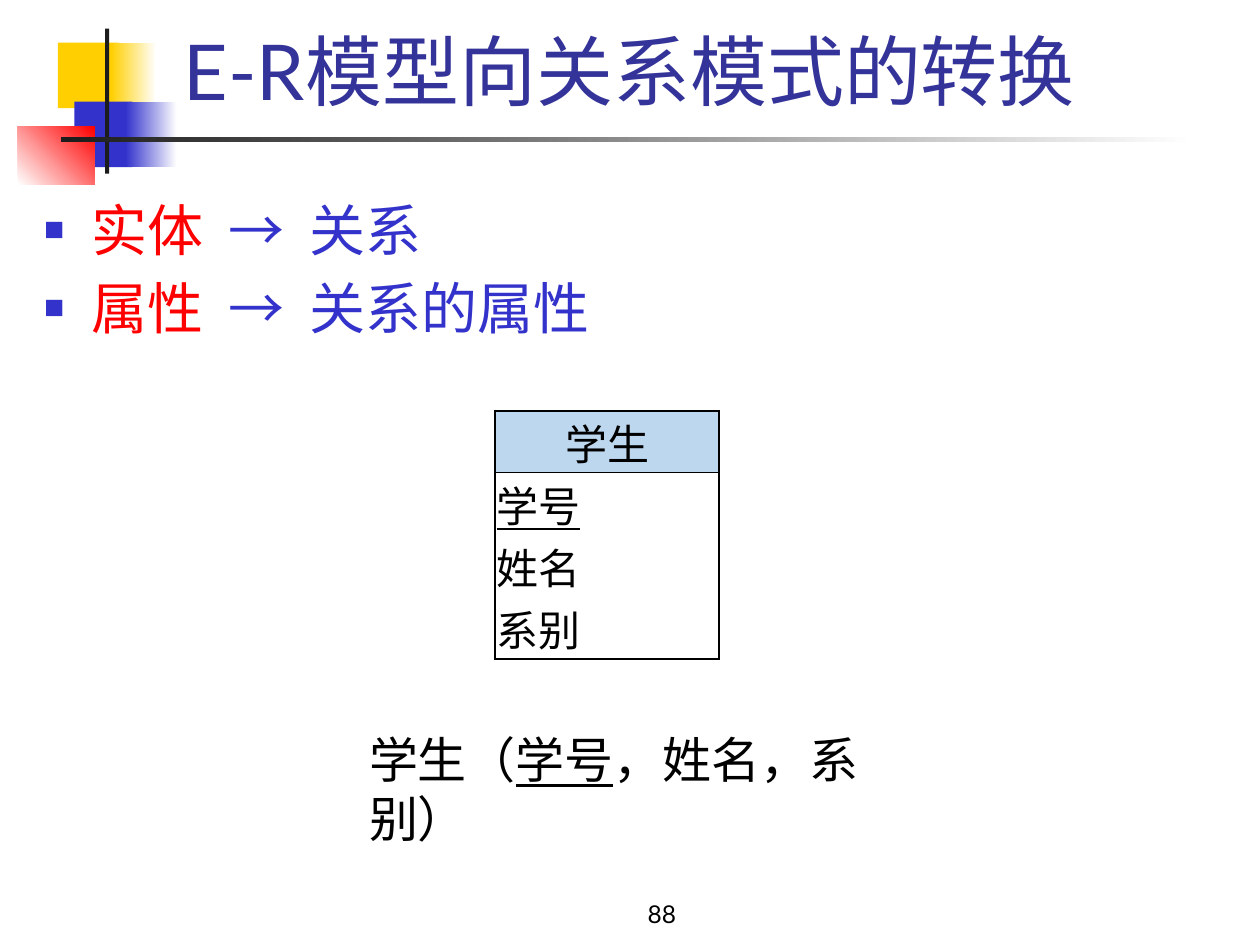
"""Builds a slide on turning an E-R model into relation schemas."""
from lxml import etree
from pptx import Presentation
from pptx import util as u
from pptx.dml.color import RGBColor
from pptx.enum import lang, shapes, text
from pptx.oxml import ns

BLACK, WHITE, YELLOW, BLUE = "000000", "FFFFFF", "FFCF01", "3333CC"
RED, DARK, NAVY, PALE = "FF0000", "1C1C1C", "333399", "BDD7EE"
LATO, ARIAL, NOTO = "Lato", "Arial", "Noto Sans CJK SC"
CENTER = text.PP_ALIGN.CENTER

ORNAMENTS = [
    ((1.17, 0.86, 1.22, 1.32), [YELLOW], 0),
    ((2.24, 0.86, 0.91, 1.32), [YELLOW, WHITE], 0),
    ((1.5, 2.05, 1.17, 1.32), [BLUE], 0),
    ((2.54, 2.05, 1.02, 1.32), [BLUE, WHITE], 0),
    ((0.36, 2.55, 1.55, 1.17), [WHITE, RED], 45),
    ((2.12, 0.58, 0.08, 2.92), [DARK], 0),
    ((1.23, 2.77, 22.86, 0.09), [DARK, WHITE], 0),
]
MAPPINGS = [
    [("实体  ", RED), ("→  关系", BLUE)],
    [("属性", RED), ("  →  关系的属性", BLUE)],
]
ENTITY = ["学生", "学号", "姓名", "系别"]
KEY = "学号"
ROW_HEIGHT = 1.25


def color(value):
    """Return the colour of a hex string."""
    return RGBColor.from_string(value)


def cm(values):
    """Return the values as centimetre lengths."""
    return [u.Cm(value) for value in values]


def add_element(parent, tag, **attributes):
    """Append an XML child and return it."""
    child = etree.SubElement(parent, ns.qn(tag))
    for name, value in attributes.items():
        child.set(name, str(value))
    return child


def add_ornament(page, place, colors, angle):
    """Add a rectangle with a plain or two-colour gradient fill."""
    shape = page.shapes.add_shape(shapes.MSO_SHAPE.RECTANGLE, *cm(place))
    shape.shadow.inherit = False
    shape.line.fill.background()
    if len(colors) == 1:
        shape.fill.solid()
        shape.fill.fore_color.rgb = color(colors[0])
        return
    shape.fill.gradient()
    shape.fill.gradient_angle = angle
    for position, (stop, value) in enumerate(zip(shape.fill.gradient_stops, colors)):
        stop.color.rgb = color(value)
        stop.position = position


def add_span(para, words, size, font, value=BLACK, underline=None):
    """Add a formatted run to a paragraph."""
    span = para.add_run()
    span.text = words
    span.font.size = u.Pt(size)
    span.font.name = font
    span.font.color.rgb = color(value)
    span.font.underline = underline
    span.font.language_id = lang.MSO_LANGUAGE_ID.SIMPLIFIED_CHINESE


def add_box(page, place, anchor=text.MSO_ANCHOR.TOP):
    """Add a wrapping text box and return its text frame."""
    frame = page.shapes.add_textbox(*cm(place)).text_frame
    frame.word_wrap = True
    frame.vertical_anchor = anchor
    return frame


def add_line(page, place, words, size, value):
    """Add a centred line of text that sits on the bottom of its box."""
    para = add_box(page, place, text.MSO_ANCHOR.BOTTOM).paragraphs[0]
    para.alignment = CENTER
    add_span(para, words, size, LATO, value)


def set_bullet(para):
    """Give a paragraph a hanging square bullet."""
    properties = para._p.get_or_add_pPr()
    properties.set("marL", str(u.Cm(0.95)))
    properties.set("indent", str(-u.Cm(0.95)))
    before = add_element(properties, "a:spcBef")
    add_element(before, "a:spcPct", val=20000)
    tint = add_element(properties, "a:buClr")
    add_element(tint, "a:srgbClr", val=BLUE)
    add_element(properties, "a:buSzPct", val=60000)
    add_element(properties, "a:buFont", typeface=ARIAL)
    add_element(properties, "a:buChar", char="■")


def add_mappings(page):
    """Add the bulleted list of mappings."""
    frame = add_box(page, (0.64, 3.81, 23.93, 3.38))
    for index, spans in enumerate(MAPPINGS):
        para = frame.add_paragraph() if index else frame.paragraphs[0]
        para.alignment = text.PP_ALIGN.JUSTIFY
        set_bullet(para)
        for words, value in spans:
            add_span(para, words, 32, LATO, value)


def set_borders(cell, widths):
    """Draw the cell borders, given as points by side in schema order."""
    properties = cell._tc.get_or_add_tcPr()
    for index, (side, width) in enumerate(widths.items()):
        line = add_element(properties, f"a:ln{side}", w=u.Pt(width))
        if width:
            fill = add_element(line, "a:solidFill")
            add_element(fill, "a:srgbClr", val=BLACK)
        else:
            add_element(line, "a:noFill")
        properties.insert(index, line)


def add_entity(page):
    """Add the entity table with a header and one attribute a row."""
    last = len(ENTITY) - 1
    place = cm((9.98, 8.28, 4.52, ROW_HEIGHT * len(ENTITY)))
    table = page.shapes.add_table(len(ENTITY), 1, *place).table
    table.first_row = table.horz_banding = False
    for index, words in enumerate(ENTITY):
        cell = table.cell(index, 0)
        cell.fill.solid()
        cell.fill.fore_color.rgb = color(WHITE if index else PALE)
        cell.vertical_anchor = text.MSO_ANCHOR.MIDDLE
        cell.margin_left = cell.margin_right = cell.margin_top = u.Cm(0.03)
        cell.margin_bottom = 0
        para = cell.text_frame.paragraphs[0]
        para.alignment = text.PP_ALIGN.LEFT if index else CENTER
        add_span(para, words, 24, NOTO, underline=words == KEY)
        top = {0: 1.5, 1: 0.5}.get(index, 0)
        bottom = {0: 0.5, last: 1.5}.get(index, 0)
        set_borders(cell, {"L": 1.5, "R": 1.5, "T": top, "B": bottom})


def add_schema(page):
    """Add the relation schema with its key underlined."""
    para = add_box(page, (7.19, 14.58, 10.82, 1.45)).paragraphs[0]
    for words in ("学生（", KEY, "，姓名，系别）"):
        add_span(para, words, 28, ARIAL, underline=words == KEY)


def main():
    """Build and save the deck."""
    deck = Presentation()
    deck.slide_width, deck.slide_height = cm((25.4, 19.05))
    page = deck.slides.add_slide(deck.slide_layouts[6])
    for place, colors, angle in ORNAMENTS:
        add_ornament(page, place, colors, angle)
    add_line(page, (9.32, 17.58, 8.05, 1.27), "88", 14, BLACK)
    add_line(page, (1.9, 0.58, 21.59, 1.88), "E-R模型向关系模式的转换", 44, NAVY)
    add_mappings(page)
    add_entity(page)
    add_schema(page)
    deck.save("out.pptx")


if __name__ == "__main__":
    main()
